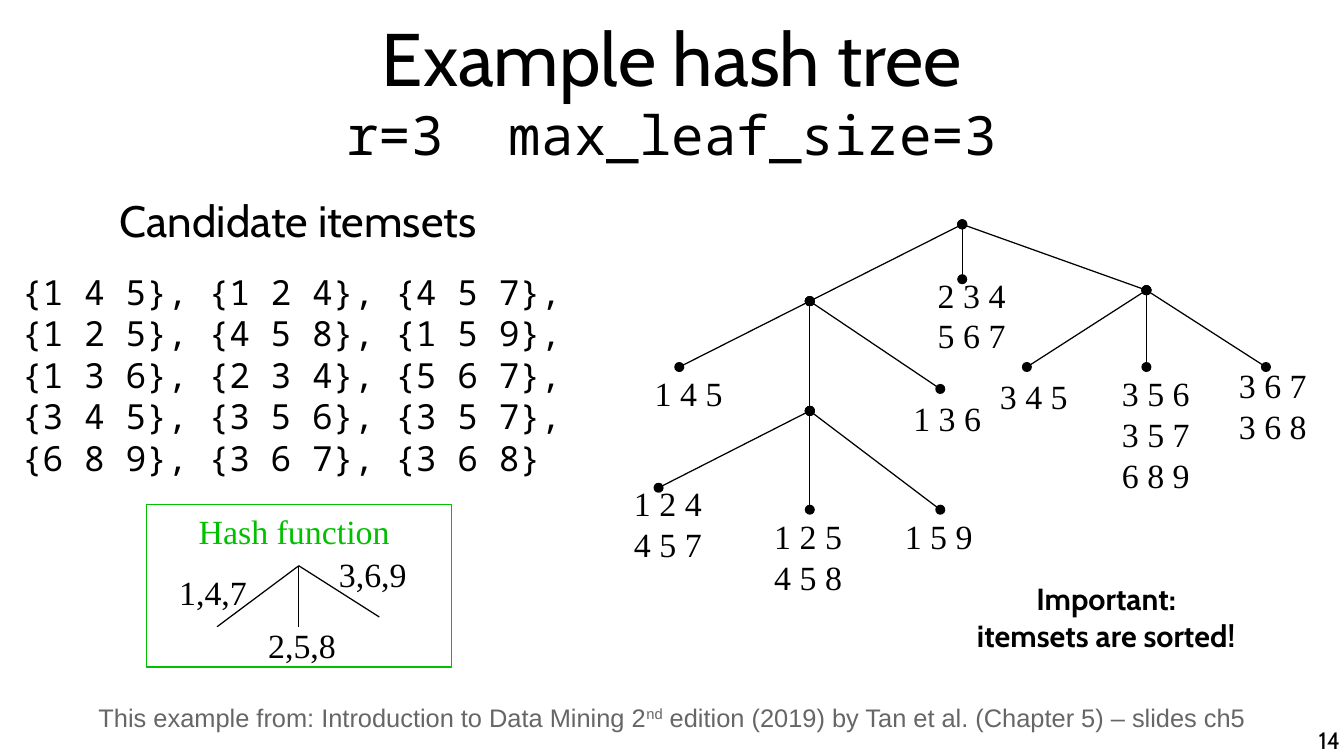
from dataclasses import dataclass

from lxml import etree
from pptx import Presentation
from pptx.dml.color import RGBColor
from pptx.enum.shapes import MSO_CONNECTOR, MSO_SHAPE
from pptx.enum.text import MSO_ANCHOR, MSO_AUTO_SIZE, PP_ALIGN
from pptx.oxml.ns import qn
from pptx.util import Inches, Pt

STRAIGHT = MSO_CONNECTOR.STRAIGHT
RECTANGLE = MSO_SHAPE.RECTANGLE
TOP, MIDDLE = MSO_ANCHOR.TOP, MSO_ANCHOR.MIDDLE
LEFT, CENTER, RIGHT = PP_ALIGN.LEFT, PP_ALIGN.CENTER, PP_ALIGN.RIGHT
NO_AUTOFIT = MSO_AUTO_SIZE.NONE


@dataclass(frozen=True)
class Style:
    font: str
    size: float
    color: RGBColor
    bold: bool = False


@dataclass(frozen=True)
class Theme:
    black = RGBColor(0x00, 0x00, 0x00)
    green = RGBColor(0x00, 0xC0, 0x00)
    grey = RGBColor(0x66, 0x66, 0x66)
    line_width = Pt(0.75)
    title = Style("Cabin", 44, black)
    parameters = Style("Noto Sans Mono", 32, black)
    heading = Style("Cabin", 25.9, black)
    itemsets = Style("Noto Sans Mono", 20.4, black)
    diagram = Style("Times New Roman", 20, black)
    hash_title = Style("Times New Roman", 20, green)
    source = Style("Arial", 15, grey)
    remark = Style("Cabin", 18, black, True)
    page = Style("Cabin", 14, black)


THEME = Theme()

CANDIDATES = [
    "{1 4 5}, {1 2 4}, {4 5 7},",
    "{1 2 5}, {4 5 8}, {1 5 9},",
    "{1 3 6}, {2 3 4}, {5 6 7},",
    "{3 4 5}, {3 5 6}, {3 5 7},",
    "{6 8 9}, {3 6 7}, {3 6 8}",
]

ROOT, LOW_BRANCH, HIGH_BRANCH, DEEP_BRANCH = (
    (7.89, 1.84), (6.64, 2.47), (9.4, 2.38), (6.64, 3.37))
TREE = {
    ROOT: [LOW_BRANCH, HIGH_BRANCH, (7.89, 2.29)],
    LOW_BRANCH: [(5.57, 3.01), DEEP_BRANCH, (7.71, 3.19)],
    DEEP_BRANCH: [(5.4, 4), (6.64, 4.18), (7.71, 4.18)],
    HIGH_BRANCH: [(8.42, 3.01), (9.4, 3.01), (10.38, 3.01)],
}
LEAVES = [
    (7.59, 2.2, ["2 3 4", "5 6 7"]),
    (5.27, 3.01, ["1 4 5"]),
    (7.39, 3.21, ["1 3 6"]),
    (5.1, 3.91, ["1 2 4", "4 5 7"]),
    (6.25, 4.18, ["1 2 5", "4 5 8"]),
    (7.32, 4.18, ["1 5 9"]),
    (8.1, 3.03, ["3 4 5"]),
    (9.1, 3.01, ["3 5 6", "3 5 7", "6 8 9"]),
    (10.06, 2.94, ["3 6 7", "3 6 8"]),
]

HASH_ROOT = (2.45, 4.64)
HASH_ENDS = [(1.78, 5.14), (2.45, 5.14), (3.11, 5.06)]
HASH_LABELS = [(1.37, 4.64, "1,4,7"), (2.1, 5.07, "2,5,8"), (2.68, 4.49, "3,6,9")]


def add_run(paragraph, text, style):
    run = paragraph.add_run()
    run.text = text
    run.font.name = style.font
    run.font.size = Pt(style.size)
    run.font.bold = style.bold
    run.font.color.rgb = style.color
    return run


def add_broken_lines(paragraph, lines, style):
    """Put the lines in one paragraph, parted by line breaks."""
    for index, line in enumerate(lines):
        if index:
            paragraph.add_line_break()
        add_run(paragraph, line, style)


def set_frame(frame, anchor=TOP, inset=(0, 0), wrap=True):
    frame.word_wrap = wrap
    frame.auto_size = NO_AUTOFIT
    frame.vertical_anchor = anchor
    frame.margin_left = frame.margin_right = Inches(inset[0])
    frame.margin_top = frame.margin_bottom = Inches(inset[1])


def place(shape, left, top, width, height):
    shape.left, shape.top = Inches(left), Inches(top)
    shape.width, shape.height = Inches(width), Inches(height)


def add_text_frame(slide, left, top, width, height, inset=(0.1, 0.05), wrap=True):
    box = slide.shapes.add_textbox(
        Inches(left), Inches(top), Inches(width), Inches(height))
    set_frame(box.text_frame, inset=inset, wrap=wrap)
    return box.text_frame


def add_label(slide, left, top, lines, style=THEME.diagram, width=0.75):
    """Add a diagram label with one paragraph per line."""
    height = 0.1 + 0.33 * len(lines)
    frame = add_text_frame(slide, left, top, width, height, wrap=False)
    for index, line in enumerate(lines):
        paragraph = frame.add_paragraph() if index else frame.paragraphs[0]
        add_run(paragraph, line, style)


def add_edge(slide, start, end, dotted_ends=False):
    points = [Inches(value) for value in (*start, *end)]
    edge = slide.shapes.add_connector(STRAIGHT, *points)
    edge.line.color.rgb = THEME.black
    edge.line.width = THEME.line_width
    if dotted_ends:
        outline = edge.line._get_or_add_ln()
        for tag in ("a:headEnd", "a:tailEnd"):
            etree.SubElement(outline, qn(tag), type="oval")
    etree.SubElement(edge._element.spPr, qn("a:effectLst"))


def add_title(slide):
    title = slide.shapes.title
    place(title, 0.55, 0.06, 9.92, 1.35)
    set_frame(title.text_frame, anchor=MIDDLE)
    paragraph = title.text_frame.paragraphs[0]
    paragraph.alignment = CENTER
    add_run(paragraph, "Example hash tree", THEME.title)
    paragraph.add_line_break()
    add_run(paragraph, "r=3  max_leaf_size=3", THEME.parameters)


def add_candidates(slide):
    body = slide.placeholders[1]
    place(body, 0.18, 1.59, 4.53, 2.78)
    frame = body.text_frame
    set_frame(frame)
    heading, itemsets = frame.paragraphs[0], frame.add_paragraph()
    for paragraph, alignment, space in ((heading, CENTER, 0), (itemsets, LEFT, 14.2)):
        properties = paragraph._p.get_or_add_pPr()
        properties.set("marL", "0")
        properties.set("indent", "0")
        etree.SubElement(properties, qn("a:buNone"))
        paragraph.alignment = alignment
        paragraph.space_before = Pt(space)
    add_run(heading, "Candidate itemsets", THEME.heading)
    add_broken_lines(itemsets, CANDIDATES, THEME.itemsets)


def add_hash_tree(slide):
    for parent, children in TREE.items():
        for child in children:
            add_edge(slide, parent, child, dotted_ends=True)
    for left, top, itemsets in LEAVES:
        add_label(slide, left, top, itemsets)


def add_hash_function(slide):
    frame = slide.shapes.add_shape(
        RECTANGLE, Inches(1.2), Inches(4.14), Inches(2.5), Inches(1.33))
    frame.shadow.inherit = False
    frame.fill.background()
    frame.line.color.rgb = THEME.green
    frame.line.width = THEME.line_width
    add_label(slide, 1.53, 4.14, ["Hash function"], THEME.hash_title, 1.77)
    for end in HASH_ENDS:
        add_edge(slide, HASH_ROOT, end)
    for left, top, values in HASH_LABELS:
        add_label(slide, left, top, [values])


def add_notes_and_page(slide):
    source = add_text_frame(slide, 0.05, 5.71, 10.92, 0.39).paragraphs[0]
    source.alignment = CENTER
    add_run(source, "This example from: Introduction to Data Mining 2", THEME.source)
    ordinal = add_run(source, "nd", THEME.source)
    ordinal.font._element.set("baseline", "33000")
    add_run(source, " edition (2019) by Tan et al. (Chapter 5) – slides ch5", THEME.source)

    remark = add_text_frame(slide, 7.25, 4.71, 3.64, 0.7).paragraphs[0]
    remark.alignment = CENTER
    add_broken_lines(remark, ["Important:", "itemsets are sorted!"], THEME.remark)

    page = add_text_frame(slide, 8.42, 5.95, 2.57, 0.25, inset=(0, 0)).paragraphs[0]
    page.alignment = RIGHT
    add_run(page, "14", THEME.page)


def main():
    deck = Presentation()
    deck.slide_width, deck.slide_height = Inches(11.02), Inches(6.2)
    slide = deck.slides.add_slide(deck.slide_layouts[1])
    add_title(slide)
    add_candidates(slide)
    add_hash_tree(slide)
    add_hash_function(slide)
    add_notes_and_page(slide)
    deck.save("out.pptx")


if __name__ == "__main__":
    main()
